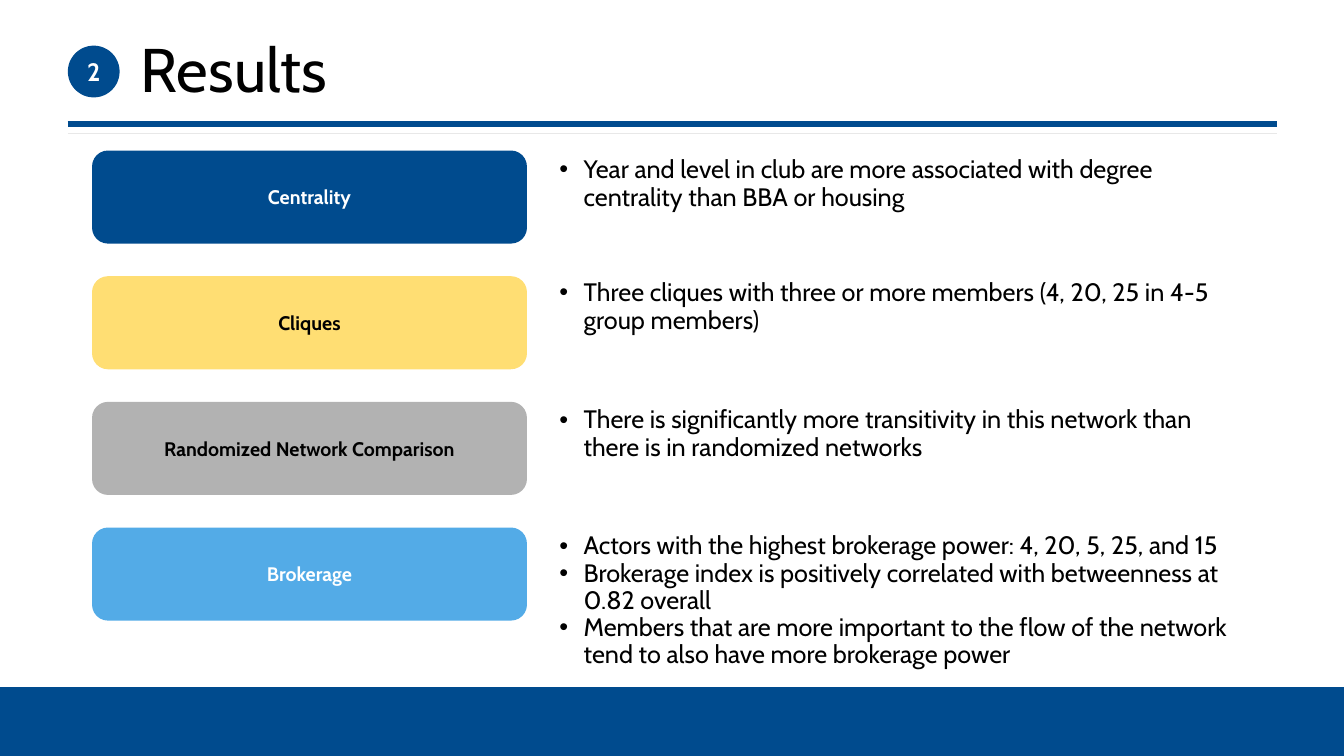
from dataclasses import dataclass

import lxml.etree
import pptx
import pptx.dml.color
import pptx.enum.shapes
import pptx.enum.text
import pptx.oxml.ns
import pptx.util

Inches = pptx.util.Inches
Shape = pptx.enum.shapes.MSO_SHAPE

FONT = "Cabin"
COLORS = {
    "blue": "004B8E",
    "yellow": "FFDE73",
    "gray": "B2B2B2",
    "sky": "53ABE7",
    "hairline": "E8E8E8",
    "white": "FFFFFF",
    "black": "000000",
}


@dataclass
class Finding:
    topic: str
    fill: str
    text_color: str
    bullets_top: float
    bullets_height: float
    bullets: list[str]


FINDINGS = [
    Finding("Centrality", "blue", "white", 1.51, 0.91, [
        "Year and level in club are more associated with degree centrality than BBA or housing"]),
    Finding("Cliques", "yellow", "black", 2.73, 0.91, [
        "Three cliques with three or more members (4, 20, 25 in 4-5 group members)"]),
    Finding("Randomized Network Comparison", "gray", "black", 3.99, 0.91, [
        "There is significantly more transitivity in this network than there is in randomized networks"]),
    Finding("Brokerage", "sky", "white", 5.24, 1.45, [
        "Actors with the highest brokerage power: 4, 20, 5, 25, and 15",
        "Brokerage index is positively correlated with betweenness at 0.82 overall",
        "Members that are more important to the flow of the network tend to also have more brokerage power"]),
]
FIRST_TOP, LAST_TOP = 1.5, 5.24
ROW_STEP = (LAST_TOP - FIRST_TOP) / (len(FINDINGS) - 1)


def rgb(name: str) -> pptx.dml.color.RGBColor:
    return pptx.dml.color.RGBColor.from_string(COLORS[name])


def style_font(paragraph, size: float, color: str, bold: bool = False) -> None:
    paragraph.font.name = FONT
    paragraph.font.size = pptx.util.Pt(size)
    paragraph.font.bold = bold
    paragraph.font.color.rgb = rgb(color)


def add_block(slide, kind, left: float, top: float, width: float, height: float, fill: str):
    shape = slide.shapes.add_shape(kind, Inches(left), Inches(top), Inches(width), Inches(height))
    shape.shadow.inherit = False
    shape.fill.solid()
    shape.fill.fore_color.rgb = rgb(fill)
    shape.line.color.rgb = rgb(fill)
    shape.line.width = pptx.util.Pt(1)
    return shape


def add_label(shape, text: str, size: float, color: str) -> None:
    shape.text_frame.vertical_anchor = pptx.enum.text.MSO_ANCHOR.MIDDLE
    paragraph = shape.text_frame.paragraphs[0]
    paragraph.text = text
    paragraph.alignment = pptx.enum.text.PP_ALIGN.CENTER
    style_font(paragraph, size, color, bold=True)


def add_rule(slide, left: float, right: float, y: float, color: str, width: float) -> None:
    rule = slide.shapes.add_connector(
        pptx.enum.shapes.MSO_CONNECTOR.STRAIGHT, Inches(left), Inches(y), Inches(right), Inches(y))
    rule.line.color.rgb = rgb(color)
    rule.line.width = pptx.util.Pt(width)
    lxml.etree.SubElement(rule._element.spPr, pptx.oxml.ns.qn("a:effectLst"))


def add_text_frame(slide, left: float, top: float, width: float, height: float):
    box = slide.shapes.add_textbox(Inches(left), Inches(top), Inches(width), Inches(height))
    box.text_frame.word_wrap = True
    return box.text_frame


def add_bullets(slide, finding: Finding) -> None:
    frame = add_text_frame(slide, 5.44, finding.bullets_top, 6.98, finding.bullets_height)
    frame.text = "\n".join(finding.bullets)
    for paragraph in frame.paragraphs:
        paragraph.line_spacing = 0.9
        properties = paragraph._p.get_or_add_pPr()
        properties.set("marL", str(Inches(0.25)))
        properties.set("indent", str(Inches(-0.24)))
        bullet_font = lxml.etree.SubElement(properties, pptx.oxml.ns.qn("a:buFont"))
        bullet_font.set("typeface", "Arial")
        bullet = lxml.etree.SubElement(properties, pptx.oxml.ns.qn("a:buChar"))
        bullet.set("char", "•")
        style_font(paragraph, 18, "black")


def main() -> None:
    presentation = pptx.Presentation()
    presentation.slide_width = Inches(13.33)
    presentation.slide_height = Inches(7.5)
    slide = presentation.slides.add_slide(presentation.slide_layouts[6])

    # Footer band and header rules
    add_block(slide, Shape.RECTANGLE, 0, 6.82, 13.33, 0.68, "blue")
    add_rule(slide, 0.67, 12.67, 1.32, "hairline", 0.75)
    add_rule(slide, 0.67, 12.67, 1.23, "blue", 4.5)

    # Section number and title
    badge = add_block(slide, Shape.OVAL, 0.68, 0.46, 0.5, 0.5, "blue")
    add_label(badge, "2", 18, "white")
    title = add_text_frame(slide, 1.3, 0.29, 11.11, 0.85)
    title.vertical_anchor = pptx.enum.text.MSO_ANCHOR.MIDDLE
    title.text = "Results"
    title.paragraphs[0].line_spacing = 0.9
    style_font(title.paragraphs[0], 44, "black")

    # Topics with their findings
    for row, finding in enumerate(FINDINGS):
        topic = add_block(slide, Shape.ROUNDED_RECTANGLE, 0.92, FIRST_TOP + row * ROW_STEP,
                          4.3, 0.91, finding.fill)
        add_label(topic, finding.topic, 14, finding.text_color)
        add_bullets(slide, finding)

    presentation.save("out.pptx")


if __name__ == "__main__":
    main()
